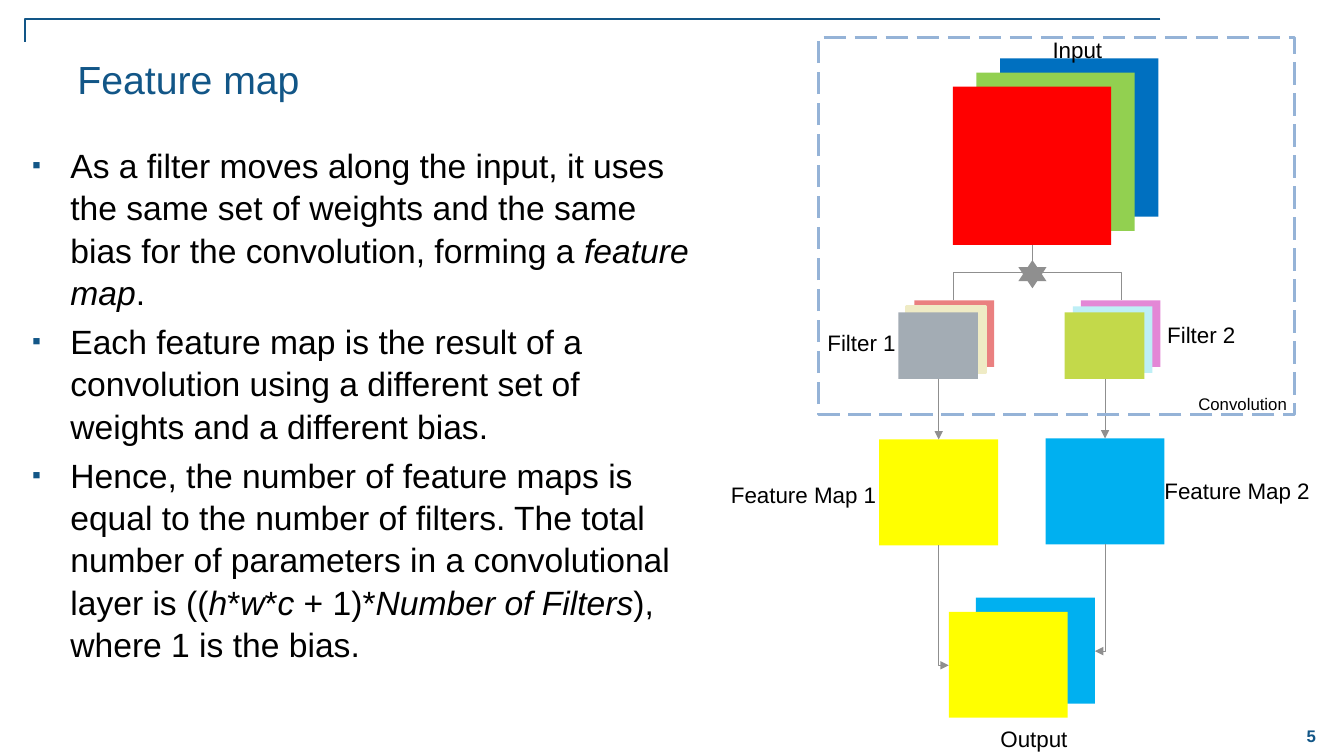
from dataclasses import dataclass

from lxml.etree import SubElement
from pptx import Presentation
from pptx.dml.color import RGBColor
from pptx.enum.dml import MSO_LINE_DASH_STYLE as Dash
from pptx.enum.shapes import MSO_CONNECTOR as Link, MSO_SHAPE as Preset
from pptx.enum.text import MSO_ANCHOR as Anchor, PP_ALIGN as Align
from pptx.oxml.ns import qn
from pptx.util import Inches, Pt

COLORS = {
    "navy": "125687", "black": "000000", "gray": "8F8F8F", "frame": "95B3D7",
    "blue": "0070C0", "green": "92D050", "red": "FF0000",
    "coral": "EA8080", "cream": "EFEBC5", "steel": "A3ACB4",
    "orchid": "E387D6", "ice": "BEEFF6", "lime": "C3D94A",
    "yellow": "FFFF00", "sky": "00B0F0",
}
BODY_FORMAT = {"line_spacing": 1.05, "space_before": Pt(4.8)}
Run = tuple[str, bool]
Point = tuple[float, float]


@dataclass
class Stack:
    """Equal rectangles, back to front, each shifted by step."""
    left: float
    top: float
    width: float
    height: float
    colors: list[str]
    step: Point = (0, 0)


@dataclass
class Label:
    text: str
    left: float
    top: float
    width: float
    height: float = 0.37
    size: int = 16
    color: str = "black"
    bold: bool = False
    align: Align = Align.CENTER
    anchor: Anchor = Anchor.TOP


STACKS = [
    Stack(9.92, 0.58, 1.57, 1.57, ["blue", "green", "red"], (-0.235, 0.14)),
    Stack(9.07, 2.98, 0.79, 0.66, ["coral", "cream", "steel"], (-0.08, 0.06)),
    Stack(10.72, 2.98, 0.79, 0.66, ["orchid", "ice", "lime"], (-0.08, 0.06)),
    Stack(8.72, 4.36, 1.18, 1.05, ["yellow"]),
    Stack(10.37, 4.35, 1.18, 1.05, ["sky"]),
    Stack(9.68, 5.93, 1.18, 1.05, ["sky", "yellow"], (-0.27, 0.14)),
]
LABELS = [
    Label("Feature map", 0.67, 0.5, 11.78, 1.08, 28, "navy", align=Align.LEFT),
    Label("5", 12.67, 7.09, 0.67, 0.42, 12, "navy", True, anchor=Anchor.MIDDLE),
    Label("Input", 10.09, 0.31, 1.19),
    Label("Filter 1", 7.95, 3.22, 1.19),
    Label("Filter 2", 11.32, 3.14, 1.19),
    Label("Feature Map 1", 7.13, 4.72, 1.68),
    Label("Feature Map 2", 11.32, 4.68, 1.9),
    Label("Output", 9.66, 7.14, 1.19),
    Label("Convolution", 11.62, 3.86, 1.41, 0.3, 12),
]
BULLETS: list[list[Run]] = [
    [("As a filter moves along the input, it uses the same set of weights and "
      "the same bias for the convolution, forming a ", False),
     ("feature map", True), (".", False)],
    [("Each feature map is the result of a convolution using a different set "
      "of weights and a different bias.", False)],
    [("Hence, the number of feature maps is equal to the number of filters. The "
      "total number of parameters in a convolutional layer is ((", False),
     ("h", True), ("*", False), ("w", True), ("*", False), ("c", True),
     (" + 1)*", False), ("Number of Filters", True),
     ("), where 1 is the bias.", False)],
]


def rgb(name: str) -> RGBColor:
    return RGBColor.from_string(COLORS[name])


def apply(target, formats: dict) -> None:
    for name, value in formats.items():
        setattr(target, name, value)


def add_run(paragraph, text: str, size: float, color: str, **formats) -> None:
    run = paragraph.add_run()
    run.text = text
    apply(run.font, {"name": "Arial", "size": Pt(size), **formats})
    run.font.color.rgb = rgb(color)


def add_label(slide, label: Label) -> None:
    box = slide.shapes.add_textbox(*map(Inches, (label.left, label.top, label.width, label.height)))
    apply(box.text_frame, {"word_wrap": True, "vertical_anchor": label.anchor})
    paragraph = box.text_frame.paragraphs[0]
    paragraph.alignment = label.align
    add_run(paragraph, label.text, label.size, label.color, bold=label.bold)


def add_bullets(slide) -> None:
    box = slide.shapes.add_textbox(*map(Inches, (0.22, 1.37, 6.74, 4.96)))
    frame = box.text_frame
    frame.word_wrap = True
    for index, runs in enumerate(BULLETS):
        paragraph = frame.add_paragraph() if index else frame.paragraphs[0]
        apply(paragraph, BODY_FORMAT)
        properties = paragraph._p.get_or_add_pPr()
        properties.set("marL", str(Inches(0.38)))
        properties.set("indent", str(-Inches(0.38)))
        bullet_color = SubElement(properties, qn("a:buClr"))
        SubElement(bullet_color, qn("a:srgbClr"), val=COLORS["navy"])
        SubElement(properties, qn("a:buSzPct"), val="75000")
        SubElement(properties, qn("a:buFont"), typeface="Arial")
        SubElement(properties, qn("a:buChar"), char="▪")
        for text, italic in runs:
            add_run(paragraph, text, 24, "black", italic=italic)


def add_block(slide, preset: Preset, bounds: tuple, fill: str | None):
    shape = slide.shapes.add_shape(preset, *map(Inches, bounds))
    shape.shadow.inherit = False
    shape.line.fill.background()
    if fill:
        shape.fill.solid()
        shape.fill.fore_color.rgb = rgb(fill)
    else:
        shape.fill.background()
    return shape


def add_stack(slide, stack: Stack) -> None:
    for index, color in enumerate(stack.colors):
        left = stack.left + index * stack.step[0]
        top = stack.top + index * stack.step[1]
        shape = add_block(slide, Preset.RECTANGLE, (left, top, stack.width, stack.height), color)
        if color == "cream":
            outline(shape.line, color, 2)


def outline(line, color: str, width: float) -> None:
    line.color.rgb = rgb(color)
    line.width = Pt(width)


def add_link(slide, kind: Link, start: Point, end: Point, color: str = "gray",
             width: float = 0.75, arrow: bool = False):
    connector = slide.shapes.add_connector(kind, *map(Inches, (*start, *end)))
    outline(connector.line, color, width)
    if arrow:
        SubElement(connector.line._get_or_add_ln(), qn("a:tailEnd"), type="triangle")
    SubElement(connector._element.spPr, qn("a:effectLst"))
    return connector


def add_downward_elbow(slide, start: Point, end: Point, preset: str, arrow: bool) -> None:
    """Elbow that leaves its start vertically, by turning the connector's frame."""
    run, drop = end[0] - start[0], end[1] - start[1]
    middle_x, middle_y = (start[0] + end[0]) / 2, (start[1] + end[1]) / 2
    corner = (middle_x - drop / 2, middle_y - abs(run) / 2)
    opposite = (middle_x + drop / 2, middle_y + abs(run) / 2)
    connector = add_link(slide, Link.ELBOW, corner, opposite, arrow=arrow)
    transform = connector._element.spPr.find(qn("a:xfrm"))
    transform.set("rot", str((270 if run > 0 else 90) * 60000))
    if run > 0:
        transform.set("flipH", "1")
    connector._element.spPr.find(qn("a:prstGeom")).set("prst", preset)


def add_header_rule(slide) -> None:
    rule = add_link(slide, Link.ELBOW, (11.51, 0.19), (0.25, 0.42), "navy", 1)
    adjustments = rule._element.spPr.find(qn("a:prstGeom")).get_or_add_avLst()
    SubElement(adjustments, qn("a:gd"), name="adj1", fmla="val 100000")


def main() -> None:
    presentation = Presentation()
    apply(presentation, {"slide_width": Inches(13.33), "slide_height": Inches(7.5)})
    slide = presentation.slides.add_slide(presentation.slide_layouts[6])
    add_header_rule(slide)
    add_bullets(slide)
    for stack in STACKS:
        add_stack(slide, stack)
    for label in LABELS:
        add_label(slide, label)
    for x, bottom in ((9.31, 4.36), (10.96, 4.35)):
        add_link(slide, Link.STRAIGHT, (x, 3.76), (x, bottom), arrow=True)
    for start, end in (((9.31, 5.41), (9.41, 6.6)), ((10.96, 5.4), (10.86, 6.46))):
        add_downward_elbow(slide, start, end, "bentConnector2", True)
    for filter_x in (9.46, 11.12):
        add_downward_elbow(slide, (10.24, 2.43), (filter_x, 2.98), "bentConnector3", False)
    add_block(slide, Preset.STAR_6_POINT, (10.1, 2.58, 0.28, 0.28), "gray")
    frame = add_block(slide, Preset.RECTANGLE, (8.12, 0.37, 4.72, 3.74), None)
    outline(frame.line, "frame", 2)
    frame.line.dash_style = Dash.LONG_DASH
    presentation.save("out.pptx")


if __name__ == "__main__":
    main()
